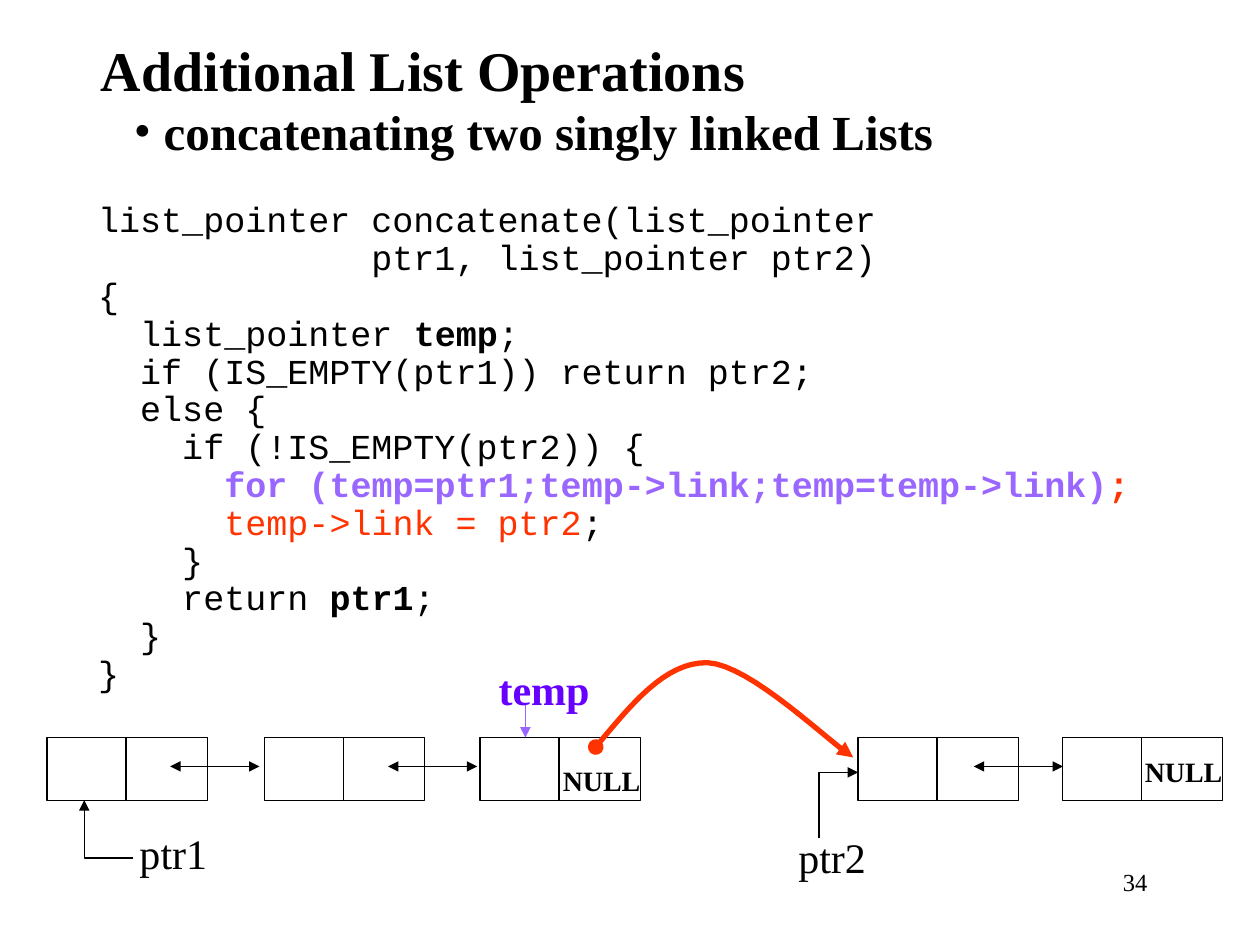
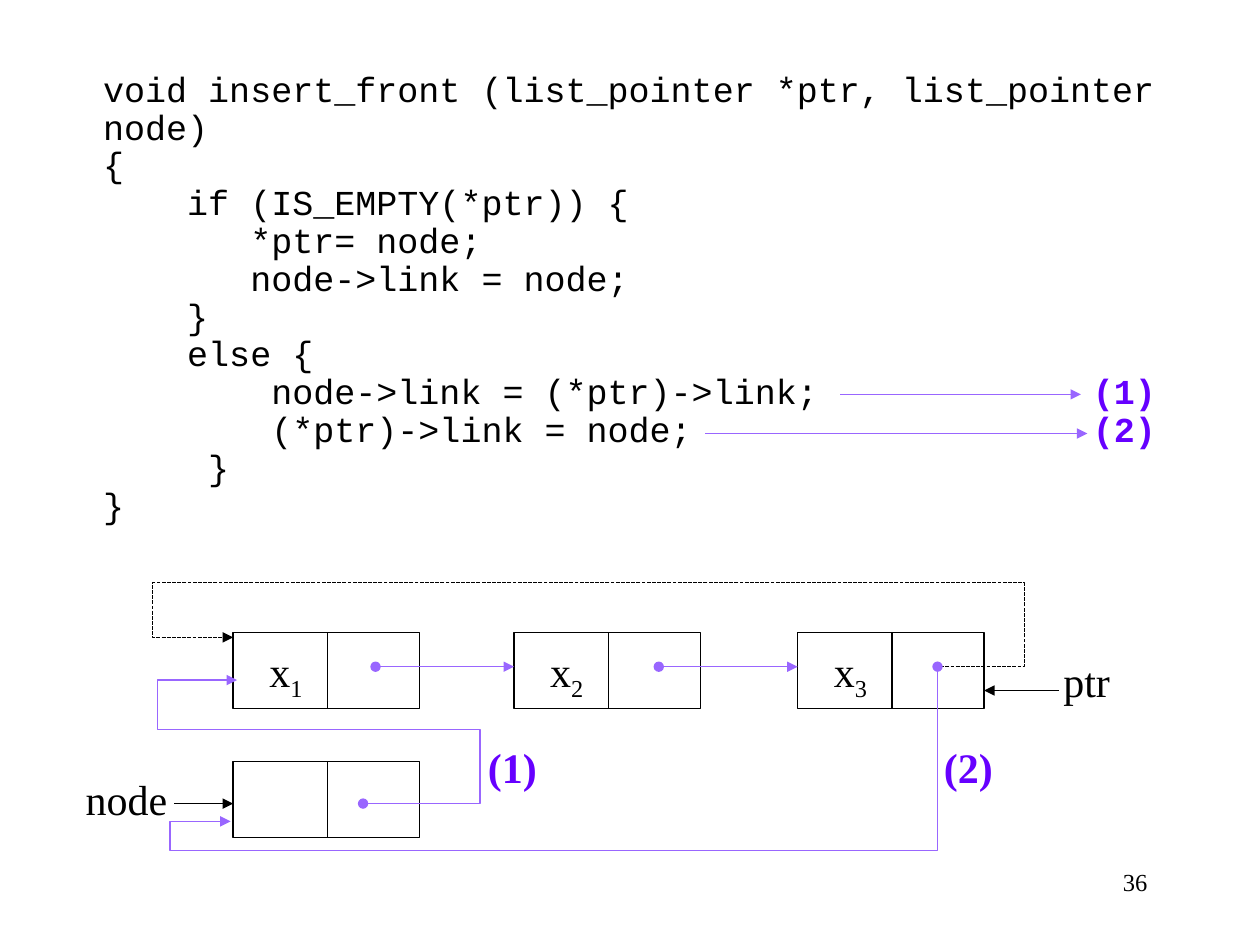
from dataclasses import dataclass
from typing import NamedTuple

from lxml import etree
from pptx import Presentation
from pptx.dml.color import RGBColor
from pptx.enum.dml import MSO_LINE
from pptx.enum.shapes import MSO_CONNECTOR, MSO_SHAPE
from pptx.enum.text import MSO_ANCHOR, MSO_AUTO_SIZE, PP_ALIGN
from pptx.oxml.ns import qn
from pptx.util import Cm, Pt

LEFT, CENTER, RIGHT = PP_ALIGN.LEFT, PP_ALIGN.CENTER, PP_ALIGN.RIGHT
TOP, NO_FIT = MSO_ANCHOR.TOP, MSO_AUTO_SIZE.NONE
RECTANGLE, STRAIGHT, DASHED = MSO_SHAPE.RECTANGLE, MSO_CONNECTOR.STRAIGHT, MSO_LINE.SQUARE_DOT
TITLE_ONLY, BLANK = 5, 6

BLACK, VIOLET, LILAC, ORANGE = "000000", "6600FF", "9966FF", "FF3300"
SERIF, MONO = "Times New Roman", "Courier New"
ARROW, DOT = "triangle", "oval"
NOTE_TAB = 19.95  # cm, where the step numbers beside the code begin
LABEL_SLACK = 0.2  # cm, room on each side that keeps a label on one line

Point = tuple[float, float]


class Run(NamedTuple):
    text: str
    color: str = BLACK
    bold: bool = False
    baseline: int = 0


class Box(NamedTuple):
    left: float
    top: float
    width: float
    height: float


@dataclass
class Label:
    runs: list[Run]
    box: Box
    size: float = 24


@dataclass
class Link:
    points: list[Point]
    color: str = BLACK
    head: str = ""
    tail: str = ARROW
    width: float = 0.75
    dashed: bool = False


@dataclass
class NodeStyle:
    width: float
    height: float
    divider: float


# ---- Shared drawing functions ----
def rgb(value: str) -> RGBColor:
    return RGBColor.from_string(value)


def add_runs(p, runs: list[Run], size: float, font: str = SERIF) -> None:
    for run in runs:
        r = p.add_run()
        r.text = run.text
        for name, value in {"name": font, "size": Pt(size), "bold": run.bold}.items():
            setattr(r.font, name, value)
        r.font.color.rgb = rgb(run.color)
        if run.baseline:
            r.font._element.set("baseline", str(run.baseline * 1000))


def add_text_frame(slide, box: Box, wrap: bool):
    tf = slide.shapes.add_textbox(*map(Cm, box)).text_frame
    tf.word_wrap = wrap
    tf.auto_size = NO_FIT
    return tf


def add_label(slide, label: Label) -> None:
    left, top, width, height = label.box
    box = Box(left - LABEL_SLACK, top, width + 2 * LABEL_SLACK, height)
    p = add_text_frame(slide, box, False).paragraphs[0]
    p.alignment = CENTER
    add_runs(p, label.runs, label.size)


def add_code(slide, box: Box, lines: list[str | list[Run]]) -> None:
    tf = add_text_frame(slide, box, True)
    for i, line in enumerate(lines):
        p = tf.paragraphs[0] if i == 0 else tf.add_paragraph()
        tabs = etree.SubElement(p._p.get_or_add_pPr(), qn("a:tabLst"))
        etree.SubElement(tabs, qn("a:tab"), pos=str(Cm(NOTE_TAB)), algn="l")
        p.line_spacing = 0.9
        add_runs(p, [Run(line)] if isinstance(line, str) else line, 20, MONO)


def add_page_number(slide, number: int) -> None:
    p = add_text_frame(slide, Box(18.1, 17.35, 5.28, 1.27), True).paragraphs[0]
    p.alignment = RIGHT
    add_runs(p, [Run(str(number))], 14)


def style_line(sp, link: Link) -> None:
    sp.line.color.rgb = rgb(link.color)
    sp.line.width = Pt(link.width)
    if link.dashed:
        sp.line.dash_style = DASHED
    ln = sp.line._get_or_add_ln()
    for tag, kind in (("a:headEnd", link.head), ("a:tailEnd", link.tail)):
        if kind:
            etree.SubElement(ln, qn(tag), type=kind)


def add_link(shapes, link: Link) -> None:
    """Two points make a connector, more make an open outline."""
    points = [(Cm(x), Cm(y)) for x, y in link.points]
    if len(points) == 2:
        sp = shapes.add_connector(STRAIGHT, *points[0], *points[1])
        style_line(sp, link)
        etree.SubElement(sp._element.spPr, qn("a:effectLst"))
        return
    builder = shapes.build_freeform(*points[0], scale=1.0)
    builder.add_line_segments(points[1:], close=False)
    sp = builder.convert_to_shape()
    sp.fill.background()
    sp.shadow.inherit = False
    style_line(sp, link)


def add_node(slide, left: float, top: float, style: NodeStyle) -> None:
    shapes = slide.shapes.add_group_shape().shapes
    sp = shapes.add_shape(RECTANGLE, *map(Cm, (left, top, style.width, style.height)))
    sp.fill.background()
    sp.shadow.inherit = False
    style_line(sp, Link([], tail=""))
    x = left + style.divider
    add_link(shapes, Link([(x, top), (x, top + style.height)], tail=""))


def bezier(a: Point, b: Point, c: Point, d: Point, steps: int = 16) -> list[Point]:
    def at(t: float, i: int) -> float:
        u = 1 - t
        return u**3 * a[i] + 3 * u * u * t * b[i] + 3 * u * t * t * c[i] + t**3 * d[i]

    return [(at(k / steps, 0), at(k / steps, 1)) for k in range(steps + 1)]


def add_heading(slide, title: str, bullet: str) -> None:
    sp = slide.shapes.title
    for name, value in zip(Box._fields, Box(1.78, 0.58, 17.63, 1.5)):
        setattr(sp, name, Cm(value))
    tf = sp.text_frame
    for name, value in {"word_wrap": False, "auto_size": NO_FIT, "vertical_anchor": TOP}.items():
        setattr(tf, name, value)
    tf.paragraphs[0].alignment = LEFT
    add_runs(tf.paragraphs[0], [Run(title, bold=True)], 32)

    p = add_text_frame(slide, Box(1.78, 1.93, 17.63, 1.4), False).paragraphs[0]
    pPr = p._p.get_or_add_pPr()
    pPr.set("marL", str(Cm(1.27)))
    pPr.set("indent", str(Cm(-0.6)))
    etree.SubElement(pPr, qn("a:buFont"), typeface=SERIF)
    etree.SubElement(pPr, qn("a:buChar"), char="•")
    add_runs(p, [Run(bullet, bold=True)], 28)


# ---- Concatenating two lists ----
def build_concatenate(prs) -> None:
    slide = prs.slides.add_slide(prs.slide_layouts[TITLE_ONLY])
    add_heading(slide, "Additional List Operations", "concatenating two singly linked Lists")
    add_code(slide, Box(1.73, 3.96, 22.25, 12.42), [
        "list_pointer concatenate(list_pointer",
        "             ptr1, list_pointer ptr2)",
        "{",
        [Run("  list_pointer "), Run("temp", bold=True), Run(";")],
        "  if (IS_EMPTY(ptr1)) return ptr2;",
        "  else {",
        "    if (!IS_EMPTY(ptr2)) {",
        [Run("      "), Run("for (temp=ptr1;temp->link;temp=temp->link)", LILAC, True),
         Run(";", ORANGE, True)],
        [Run("      "), Run("temp->link = ptr2", ORANGE), Run(";")],
        "    }",
        [Run("    return "), Run("ptr1", bold=True), Run(";")],
        "  }",
        "}",
    ])

    style, top, link_y = NodeStyle(3.23, 1.27, 1.59), 14.87, 15.45
    for left in (0.95, 5.33, 9.68, 17.3, 21.42):
        add_node(slide, left, top, style)
    curve = (bezier((12.01, 15.06), (12.73, 14.2), (13.41, 13.34), (14.27, 13.36))
             + bezier((14.27, 13.36), (15.14, 13.41), (16.71, 14.96), (17.2, 15.27))[1:])
    links = [Link([(x, link_y), (x + 1.8, link_y)], head=ARROW) for x in (3.43, 7.82, 19.63)]
    links += [
        Link([(2.69, 17.3), (1.7, 17.3), (1.7, 16.13)]),
        Link([(16.51, 16.89), (16.51, 15.57), (17.3, 15.57)]),
        Link(curve, ORANGE, head=DOT, width=3),
        Link([(10.59, 14.22), (10.59, top)], LILAC),
    ]
    for link in links:
        add_link(slide.shapes, link)
    for label in (
        Label([Run("NULL", bold=True)], Box(22.83, 15.09, 2.06, 0.94), 16),
        Label([Run("NULL", bold=True)], Box(11.1, 15.27, 2.06, 0.94), 16),
        Label([Run("ptr1")], Box(2.57, 16.56, 1.85, 1.27)),
        Label([Run("ptr2")], Box(15.85, 16.64, 1.85, 1.27)),
        Label([Run("temp", VIOLET, True)], Box(9.8, 13.25, 2.34, 1.27)),
    ):
        add_label(slide, label)
    add_page_number(slide, 34)


# ---- Inserting at the front of a circular list ----
def build_insert_front(prs) -> None:
    slide = prs.slides.add_slide(prs.slide_layouts[BLANK])
    add_code(slide, Box(1.83, 1.33, 21.79, 11.25), [
        "void insert_front (list_pointer *ptr, list_pointer node)",
        "{",
        "    if (IS_EMPTY(*ptr)) {",
        "       *ptr= node;",
        "       node->link = node;",
        "    }",
        "    else {",
        [Run("        node->link = (*ptr)->link;\t"), Run("(1)", VIOLET, True)],
        [Run("        (*ptr)->link = node;\t"), Run("(2)", VIOLET, True)],
        "     }",
        "}",
    ])

    style, top, link_y = NodeStyle(3.76, 1.53, 1.9), 12.75, 13.44
    for i, left in enumerate((4.7, 10.36, 16.08), 1):
        add_node(slide, left, top, style)
        add_label(slide, Label([Run("x"), Run(str(i), baseline=-25)],
                               Box(left + 0.48, 12.88, 1.17, 1.42)))
    add_node(slide, 4.7, 15.35, style)
    for link in (
        Link([(16.94, 7.95), (21.79, 7.95)], LILAC),
        Link([(14.22, 8.74), (21.92, 8.74)], LILAC),
        Link([(7.57, link_y), (10.36, link_y)], LILAC, head=DOT),
        Link([(13.28, link_y), (16.08, link_y)], LILAC, head=DOT),
        Link([(18.85, link_y), (20.65, link_y), (20.65, 11.75), (3.07, 11.75),
              (3.07, 12.85), (4.7, 12.85)], dashed=True),
        Link([(21.34, 13.92), (19.84, 13.92)]),
        Link([(3.51, 16.2), (4.7, 16.2)]),
        Link([(7.32, 16.2), (9.68, 16.2), (9.68, 14.71), (3.18, 14.71),
              (3.18, 13.71), (4.78, 13.71)], LILAC, head=DOT),
        Link([(18.9, link_y), (18.9, 17.15), (3.43, 17.15), (3.43, 16.56),
              (4.65, 16.56)], LILAC, head=DOT),
    ):
        add_link(slide.shapes, link)
    for label in (
        Label([Run("ptr")], Box(21.18, 13.08, 1.45, 1.27)),
        Label([Run("node")], Box(1.47, 15.47, 2.16, 1.27)),
        Label([Run("(1)", VIOLET, True)], Box(9.58, 14.83, 1.5, 1.27)),
        Label([Run("(2)", VIOLET, True)], Box(18.77, 14.83, 1.5, 1.27)),
    ):
        add_label(slide, label)
    add_page_number(slide, 36)


def main() -> None:
    prs = Presentation()
    prs.slide_width, prs.slide_height = Cm(25.4), Cm(19.05)
    build_concatenate(prs)
    build_insert_front(prs)
    prs.save("out.pptx")


if __name__ == "__main__":
    main()
